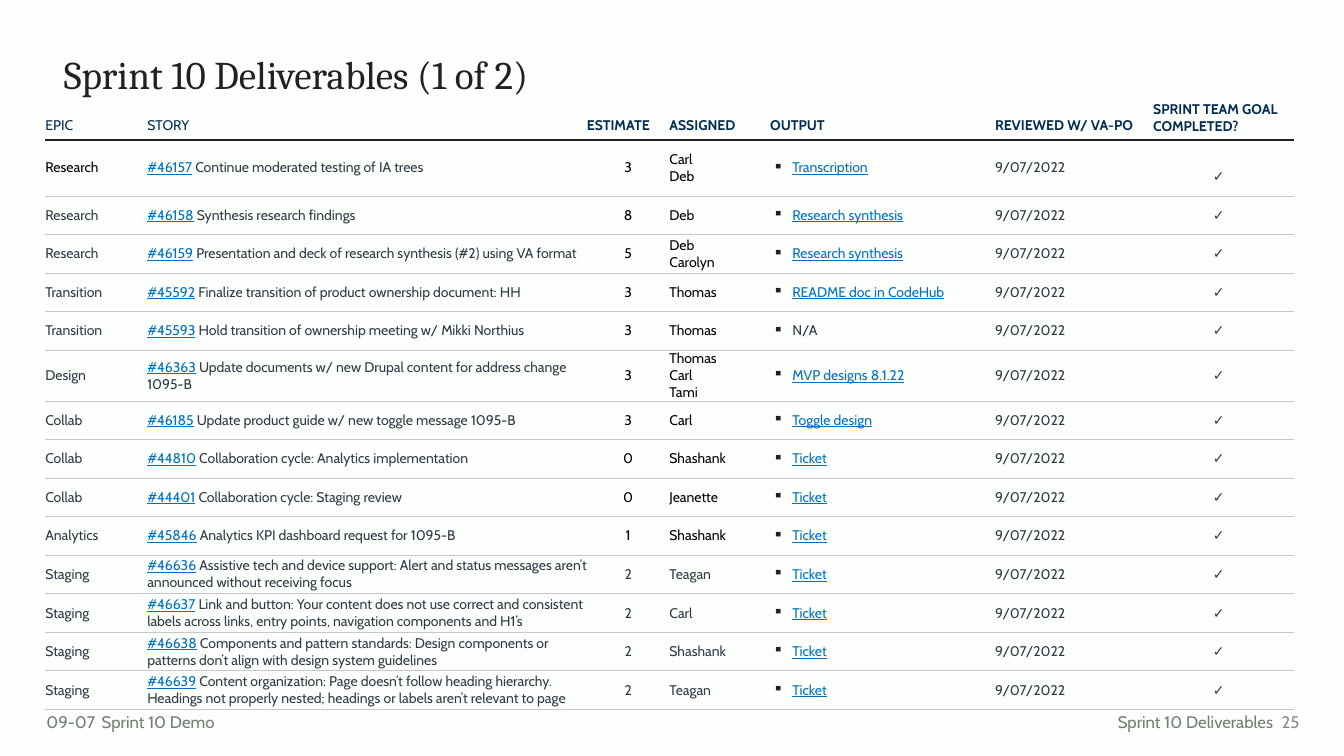
from dataclasses import dataclass
from typing import Any, NamedTuple, Optional

from lxml import etree
from pptx import Presentation
from pptx import util as u
from pptx.dml.color import RGBColor
from pptx.enum import text
from pptx.oxml.ns import qn


@dataclass(frozen=True)
class Theme:
    background: str = "FDFFFD"
    ink: str = "202120"
    header: str = "022D50"
    body: str = "303A46"
    strong: str = "000000"
    link: str = "0071C0"
    rule: str = "C7C7C7"
    footer: str = "747C74"
    page_number: str = "8A8A8A"
    title_font: str = "Cambria"
    body_font: str = "Cabin"
    title_size: float = 28
    table_size: float = 10
    footer_size: float = 12


class Insets(NamedTuple):
    left: float = 0
    top: float = 0
    right: float = 0
    bottom: float = 0


class Border(NamedTuple):
    color: str
    width: float


class Column(NamedTuple):
    heading: str
    width: float
    heading_insets: Insets
    body_insets: Insets = Insets()


class Deliverable(NamedTuple):
    epic: str
    ticket: str
    story: str
    estimate: int
    assigned: str
    output: str = "Ticket"


@dataclass(frozen=True)
class Label:
    text: str
    left: float
    top: float
    width: float
    height: float
    color: str
    size: float
    font: str
    insets: Insets
    alignment: Any = text.PP_ALIGN.LEFT
    anchor: Any = text.MSO_ANCHOR.TOP
    line_spacing: Optional[float] = None
    tab_stop: Optional[float] = None


THEME = Theme()
HEADER_RULE = Border(THEME.ink, 1)
ROW_RULE = Border(THEME.rule, 0.75)
HEADER_HEIGHT, FIRST_ROW_HEIGHT, ROW_HEIGHT = 28, 40, 27.55
REVIEW_DATE = "9/07/2022"
NAME_INSETS = Insets(right=28.8)

COLUMNS = [
    Column("EPIC", 72.8, Insets(top=7.2, right=7.2), NAME_INSETS),
    Column("STORY", 314, Insets(top=7.2, right=7.2)),
    Column("ESTIMATE", 59, Insets(top=7.2, right=7.2)),
    Column("ASSIGNED", 72, Insets(top=7.2, right=7.2), NAME_INSETS),
    Column("OUTPUT", 160.6, Insets(top=7.2)),
    Column("REVIEWED W/ VA-PO", 105.8, Insets(top=7.2)),
    Column("SPRINT TEAM GOAL COMPLETED?", 108, Insets(left=7.2, right=7.2)),
]

DELIVERABLES = [
    Deliverable("Research", "#46157", "Continue moderated testing of IA trees", 3, "Carl\nDeb", "Transcription"),
    Deliverable("Research", "#46158", "Synthesis research findings", 8, "Deb", "Research synthesis"),
    Deliverable("Research", "#46159", "Presentation and deck of research synthesis (#2) using VA format",
                5, "Deb\nCarolyn", "Research synthesis"),
    Deliverable("Transition", "#45592", "Finalize transition of product ownership document: HH",
                3, "Thomas", "README doc in CodeHub"),
    Deliverable("Transition", "#45593", "Hold transition of ownership meeting w/ Mikki Northius", 3, "Thomas", "N/A"),
    Deliverable("Design", "#46363", "Update documents w/ new Drupal content for address change 1095-B",
                3, "Thomas\nCarl\nTami", "MVP designs 8.1.22"),
    Deliverable("Collab", "#46185", "Update product guide w/ new toggle message 1095-B", 3, "Carl", "Toggle design"),
    Deliverable("Collab", "#44810", "Collaboration cycle: Analytics implementation", 0, "Shashank"),
    Deliverable("Collab", "#44401", "Collaboration cycle: Staging review", 0, "Jeanette"),
    Deliverable("Analytics", "#45846", "Analytics KPI dashboard request for 1095-B", 1, "Shashank"),
    Deliverable("Staging", "#46636", "Assistive tech and device support: Alert and status messages aren’t "
                "announced without receiving focus", 2, "Teagan"),
    Deliverable("Staging", "#46637", "Link and button: Your content does not use correct and consistent labels "
                "across links, entry points, navigation components and H1’s", 2, "Carl"),
    Deliverable("Staging", "#46638", "Components and pattern standards: Design components or patterns don’t "
                "align with design system guidelines", 2, "Shashank"),
    Deliverable("Staging", "#46639", "Content organization: Page doesn’t follow heading hierarchy. Headings not "
                "properly nested; headings or labels aren’t relevant to page", 2, "Teagan"),
]

FOOTER_STYLE = dict(size=THEME.footer_size, font=THEME.body_font)
LABELS = [
    Label("Sprint 10 Deliverables (1 of 2)", 32.4, 36, 894.2, 59, THEME.ink, THEME.title_size,
          THEME.title_font, Insets(13.2, 3.6, 7.2, 3.6), line_spacing=0.9),
    Label("25", 903.6, 501.1, 31.7, 28.8, THEME.page_number, insets=Insets(7.2, 3.6, 7.2, 3.6),
          alignment=text.PP_ALIGN.RIGHT, anchor=text.MSO_ANCHOR.MIDDLE, **FOOTER_STYLE),
    Label("Sprint 10 Deliverables", 784.1, 504.7, 132.5, 21.6, THEME.footer,
          insets=Insets(7.2, 3.6, 7.2, 3.6), alignment=text.PP_ALIGN.RIGHT, **FOOTER_STYLE),
    Label("09-07\tSprint 10 Demo", 33.1, 504.7, 214.6, 21.6, THEME.footer,
          insets=Insets(0, 3.6, 7.2, 3.6), tab_stop=39.5, **FOOTER_STYLE),
]


def style_font(font: Any, color: str, size: float = THEME.table_size, name: str = THEME.body_font,
               bold: bool = False, underline: bool = False) -> None:
    font.name, font.size = name, u.Pt(size)
    font.bold, font.underline = bold, underline
    font.color.rgb = RGBColor.from_string(color)


def set_insets(target: Any, insets: Insets) -> None:
    """Apply insets to a table cell or a text frame."""
    for side, value in insets._asdict().items():
        setattr(target, f"margin_{side}", u.Pt(value))


def add_label(slide: Any, label: Label) -> None:
    box = slide.shapes.add_textbox(*map(u.Pt, (label.left, label.top, label.width, label.height)))
    frame = box.text_frame
    frame.word_wrap, frame.vertical_anchor = True, label.anchor
    set_insets(frame, label.insets)
    frame.text = label.text
    paragraph = frame.paragraphs[0]
    paragraph.alignment = label.alignment
    if label.line_spacing:
        paragraph.line_spacing = label.line_spacing
    if label.tab_stop:
        tabs = etree.SubElement(paragraph._p.get_or_add_pPr(), qn("a:tabLst"))
        etree.SubElement(tabs, qn("a:tab"), pos=str(u.Pt(label.tab_stop)), algn="l")
    for run in paragraph.runs:
        style_font(run.font, label.color, label.size, label.font)


def set_borders(cell: Any, top: Optional[Border], bottom: Border) -> None:
    properties = cell._tc.get_or_add_tcPr()
    for tag, border in (("lnL", None), ("lnR", None), ("lnT", top), ("lnB", bottom)):
        line = etree.SubElement(properties, qn(f"a:{tag}"))
        if border is None:
            etree.SubElement(line, qn("a:noFill"))
            continue
        line.set("w", str(u.Pt(border.width)))
        fill = etree.SubElement(line, qn("a:solidFill"))
        etree.SubElement(fill, qn("a:srgbClr"), val=border.color)


def add_square_bullet(paragraph: Any) -> None:
    properties = paragraph._p.get_or_add_pPr()
    properties.set("marL", str(u.Pt(15.8)))
    properties.set("indent", str(u.Pt(-13.7)))
    color = etree.SubElement(properties, qn("a:buClr"))
    etree.SubElement(color, qn("a:srgbClr"), val=THEME.ink)
    etree.SubElement(properties, qn("a:buChar"), char="▪")


def fill_cell(cell: Any, content: str, color: str, insets: Insets, top: Optional[Border], bottom: Border,
              centered: bool = False, bold: bool = False, underline: bool = False) -> None:
    set_borders(cell, top, bottom)
    cell.fill.background()
    set_insets(cell, insets)
    cell.vertical_anchor = text.MSO_ANCHOR.MIDDLE
    cell.text_frame.text = content
    for paragraph in cell.text_frame.paragraphs:
        paragraph.alignment = text.PP_ALIGN.CENTER if centered else text.PP_ALIGN.LEFT
        for run in paragraph.runs:
            style_font(run.font, color, bold=bold, underline=underline)


def fill_deliverable(table: Any, row: int, item: Deliverable) -> None:
    first = row == 1
    top = HEADER_RULE if first else ROW_RULE
    people_color = THEME.body if item.epic == "Staging" else THEME.strong
    linked = item.output != "N/A"
    contents = [
        (item.epic, THEME.strong if first else THEME.body, False, False),
        (item.ticket, THEME.link, False, True),
        (str(item.estimate), people_color, True, False),
        (item.assigned, people_color, False, False),
        (item.output, THEME.link if linked else THEME.body, False, linked),
        (REVIEW_DATE, THEME.body, False, False),
        ("✓", THEME.body, True, False),
    ]
    for index, (content, color, centered, underline) in enumerate(contents):
        fill_cell(table.cell(row, index), content, color, COLUMNS[index].body_insets, top, ROW_RULE,
                  centered=centered, underline=underline)
    story = table.cell(row, 1).text_frame.paragraphs[0].add_run()
    story.text = f" {item.story}"
    style_font(story.font, THEME.body)
    add_square_bullet(table.cell(row, 4).text_frame.paragraphs[0])
    if first:
        table.cell(row, 6).margin_top = u.Pt(12)


def add_deliverables_table(slide: Any) -> None:
    heights = [HEADER_HEIGHT, FIRST_ROW_HEIGHT] + [ROW_HEIGHT] * (len(DELIVERABLES) - 1)
    width = sum(column.width for column in COLUMNS)
    table = slide.shapes.add_table(len(heights), len(COLUMNS), u.Pt(32.4), u.Pt(72),
                                   u.Pt(width), u.Pt(sum(heights))).table
    table.first_row = table.horz_banding = False
    for row, height in zip(table.rows, heights):
        row.height = u.Pt(height)
    for index, column in enumerate(COLUMNS):
        table.columns[index].width = u.Pt(column.width)
        fill_cell(table.cell(0, index), column.heading, THEME.header, column.heading_insets,
                  None, HEADER_RULE, bold=index >= 2)
    table.cell(0, len(COLUMNS) - 1).vertical_anchor = text.MSO_ANCHOR.TOP
    for row_index, item in enumerate(DELIVERABLES, start=1):
        fill_deliverable(table, row_index, item)


def main() -> None:
    presentation = Presentation()
    presentation.slide_width, presentation.slide_height = u.Pt(960), u.Pt(540)
    slide = presentation.slides.add_slide(presentation.slide_layouts[6])
    slide.background.fill.solid()
    slide.background.fill.fore_color.rgb = RGBColor.from_string(THEME.background)
    add_deliverables_table(slide)
    for label in LABELS:
        add_label(slide, label)
    presentation.save("out.pptx")


if __name__ == "__main__":
    main()
